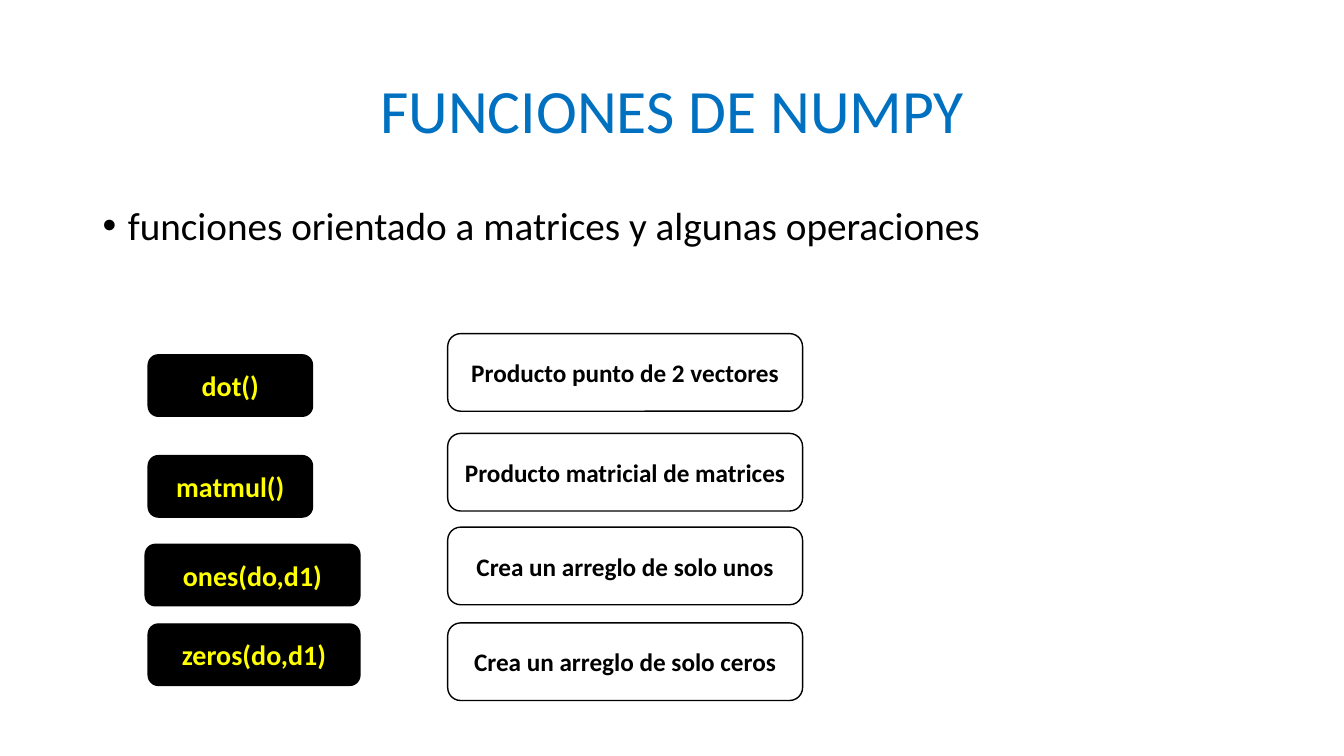
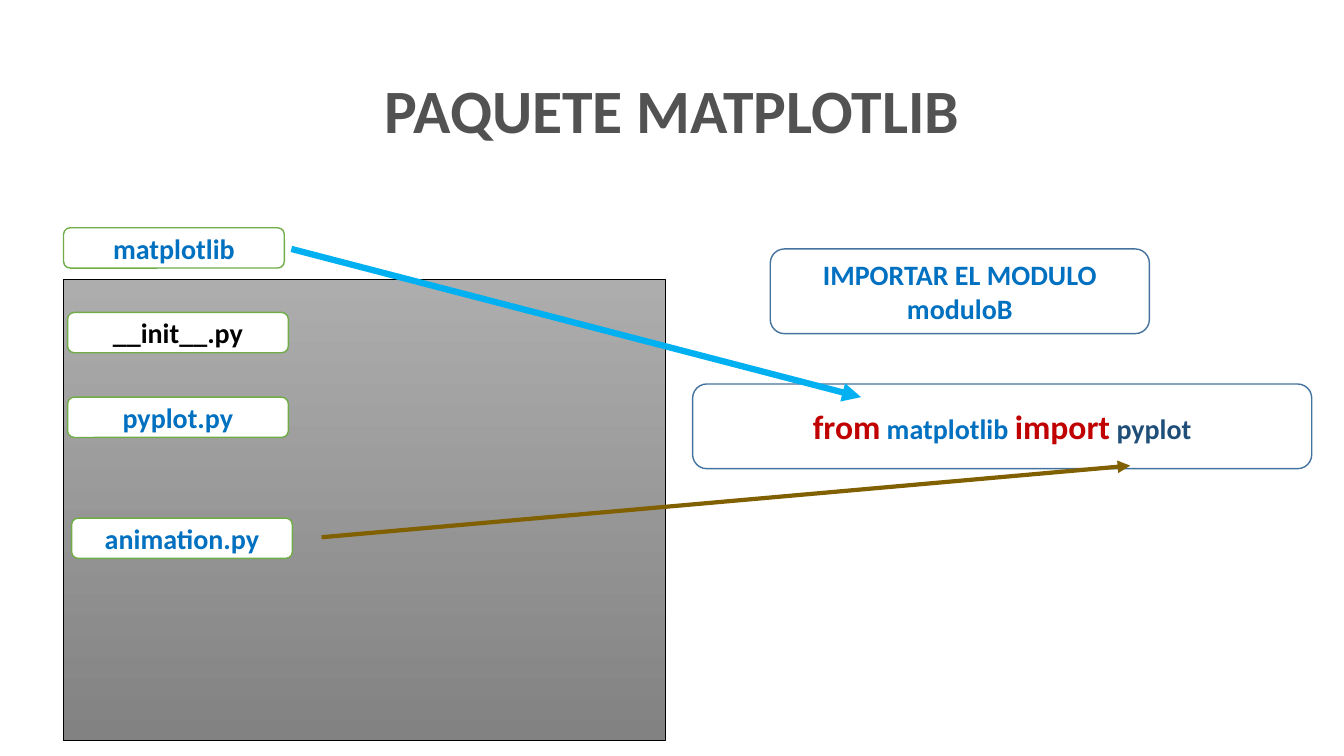
from dataclasses import dataclass

from lxml import etree
from pptx import Presentation
from pptx.dml.color import RGBColor
from pptx.enum.shapes import MSO_CONNECTOR, MSO_SHAPE
from pptx.enum.text import MSO_ANCHOR, PP_ALIGN
from pptx.oxml.ns import qn
from pptx.util import Inches, Pt

ROUND = MSO_SHAPE.ROUNDED_RECTANGLE
RECT = MSO_SHAPE.RECTANGLE
STRAIGHT = MSO_CONNECTOR.STRAIGHT
MIDDLE = MSO_ANCHOR.MIDDLE
TOP = MSO_ANCHOR.TOP
CENTER = PP_ALIGN.CENTER
LEFT = PP_ALIGN.LEFT


@dataclass(frozen=True)
class Theme:
    font: str = "Calibri"
    black: str = "000000"
    white: str = "FFFFFF"
    blue: str = "0070C0"
    navy: str = "1F4E79"
    steel: str = "43739E"
    sky: str = "00B0F0"
    green: str = "70AD47"
    yellow: str = "FFFF00"
    red: str = "C00000"
    brown: str = "806000"
    gray: str = "525252"
    light: str = "ADADAD"
    dark: str = "828282"
    title: int = 44
    body: int = 28
    key: int = 24
    code: int = 20
    note: int = 18


THEME = Theme()


def rgb(color):
    return RGBColor.from_string(color)


def apply(target, values):
    for name, value in values.items():
        setattr(target, name, value)


# Text: each paragraph is a list of (words, size, color) runs
def write(shape, paras, bold=True, anchor=MIDDLE, align=CENTER, **para_format):
    frame = shape.text_frame
    apply(frame, {"word_wrap": True, "vertical_anchor": anchor})
    for i, runs in enumerate(paras):
        para = frame.add_paragraph() if i else frame.paragraphs[0]
        apply(para, {"alignment": align, **para_format})
        for words, size, color in runs:
            run = para.add_run()
            run.text = words
            apply(run.font, {"name": THEME.font, "size": Pt(size), "bold": bold})
            run.font.color.rgb = rgb(color)


def add_text(slide, box, paras, **style):
    shape = slide.shapes.add_textbox(*map(Inches, box))
    write(shape, paras, **style)
    return shape


def add_title(slide, words, color, bold):
    add_text(slide, (0.92, 0.4, 11.5, 1.45), [[(words, THEME.title, color)]],
             bold=bold, line_spacing=0.9)


def add_bullet(slide, words):
    shape = add_text(slide, (0.92, 2, 11.5, 0.8),
                     [[(words, THEME.body, THEME.black)]], bold=False,
                     anchor=TOP, align=LEFT, line_spacing=0.9,
                     space_before=Pt(10))
    props = shape.text_frame.paragraphs[0]._p.get_or_add_pPr()
    props.set("marL", str(Inches(0.25)))
    props.set("indent", str(Inches(-0.25)))
    font = etree.SubElement(props, qn("a:buFont"))
    font.set("typeface", "Arial")
    etree.SubElement(props, qn("a:buChar")).set("char", "•")


# Boxes and arrows
def add_box(slide, box, line, paras=(), fill=None, kind=ROUND, width=1):
    shape = slide.shapes.add_shape(kind, *map(Inches, box))
    shape.shadow.inherit = False
    if fill:
        shape.fill.solid()
        shape.fill.fore_color.rgb = rgb(fill)
    else:
        shape.fill.background()
    shape.line.color.rgb = rgb(line)
    shape.line.width = Pt(width)
    write(shape, paras)
    return shape


def add_panel(slide, box):
    fill = add_box(slide, box, THEME.black, kind=RECT, width=0.5).fill
    fill.gradient()
    fill.gradient_angle = 270
    for stop, color in zip(fill.gradient_stops, (THEME.light, THEME.dark)):
        stop.color.rgb = rgb(color)


def add_arrow(slide, start, end, color, width):
    arrow = slide.shapes.add_connector(STRAIGHT, *map(Inches, start + end))
    arrow.line.color.rgb = rgb(color)
    arrow.line.width = Pt(width)
    tip = etree.SubElement(arrow.line._get_or_add_ln(), qn("a:tailEnd"))
    tip.set("type", "triangle")
    etree.SubElement(arrow._element.spPr, qn("a:effectLst"))


# Slide 1: functions and what they do
def numpy_slide(slide):
    add_title(slide, "FUNCIONES DE NUMPY", THEME.blue, False)
    add_bullet(slide, "funciones orientado a matrices y algunas operaciones")
    rows = [
        ("dot()", 1.47, 3.52, 1.63, "Producto punto de 2 vectores", 3.31),
        ("matmul()", 1.47, 4.52, 1.63, "Producto matricial de matrices", 4.3),
        ("ones(do,d1)", 1.44, 5.4, 2.13, "Crea un arreglo de solo unos", 5.23),
        ("zeros(do,d1)", 1.47, 6.19, 2.1, "Crea un arreglo de solo ceros", 6.18),
    ]
    for name, left, top, width, note, note_top in rows:
        add_box(slide, (left, top, width, 0.61), THEME.black,
                [[(name, THEME.code, THEME.yellow)]], THEME.black)
        add_box(slide, (4.44, note_top, 3.52, 0.77), THEME.black,
                [[(note, THEME.note, THEME.black)]])


# Slide 2: package files and the import line
def plot_slide(slide):
    add_title(slide, "PAQUETE MATPLOTLIB", THEME.gray, True)
    add_panel(slide, (0.63, 2.77, 5.97, 4.58))
    files = [
        ("matplotlib", 0.63, 2.26, THEME.blue),
        ("__init__.py", 0.67, 3.1, THEME.black),
        ("pyplot.py", 0.67, 3.94, THEME.blue),
        ("animation.py", 0.71, 5.14, THEME.blue),
    ]
    for name, left, top, color in files:
        add_box(slide, (left, top, 2.19, 0.4), THEME.green,
                [[(name, THEME.code, color)]], THEME.white)
    add_box(slide, (7.64, 2.47, 3.76, 0.84), THEME.steel,
            [[(words, THEME.code, THEME.blue)]
             for words in ("IMPORTAR EL MODULO", "moduloB")])
    add_box(slide, (6.87, 3.81, 6.14, 0.84), THEME.steel,
            [[("from", THEME.key, THEME.red),
              (" matplotlib ", THEME.code, THEME.blue),
              ("import", THEME.key, THEME.red),
              (" pyplot", THEME.code, THEME.navy)]])
    add_arrow(slide, (2.89, 2.47), (8.54, 3.94), THEME.sky, 4.5)
    add_arrow(slide, (3.19, 5.33), (11.21, 4.62), THEME.brown, 3)


def main():
    deck = Presentation()
    deck.slide_width = Inches(13.33)
    deck.slide_height = Inches(7.5)
    for build in (numpy_slide, plot_slide):
        build(deck.slides.add_slide(deck.slide_layouts[6]))
    deck.save("out.pptx")


if __name__ == "__main__":
    main()
